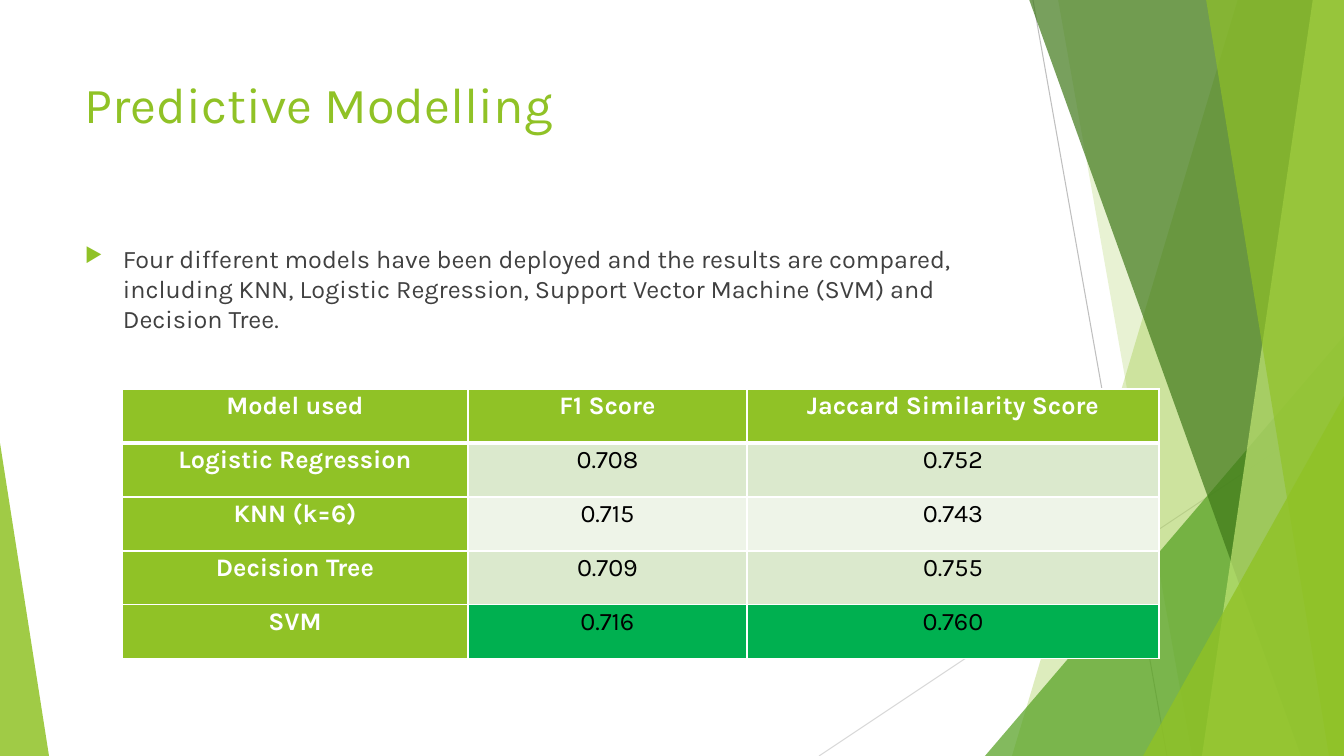
from lxml.etree import SubElement
from pptx import Presentation
from pptx.dml.color import RGBColor
from pptx.enum.shapes import MSO_CONNECTOR, MSO_SHAPE
from pptx.enum.text import MSO_ANCHOR, PP_ALIGN
from pptx.oxml import parse_xml
from pptx.oxml.ns import nsdecls, qn
from pptx.util import Pt

SCALE = 914400 / 100.8
WIDTH, HEIGHT = 1344, 756
FONT = "Karla"
COLORS = {
    "lime": "90C226", "green": "54A021", "forest": "3F7819", "pale": "C0E474",
    "white": "FFFFFF", "black": "000000", "text": "404040", "best": "00B050",
    "odd": "DBE9CD", "even": "EEF4E8", "gray": "BFBFBF", "silver": "D9D9D9",
}
TITLE = "Predictive Modelling"
BODY = ("Four different models have been deployed and the results are compared, "
        "including KNN, Logistic Regression, Support Vector Machine (SVM) and Decision Tree.")
SCORES = [
    ("Model used", "F1 Score", "Jaccard Similarity Score"),
    ("Logistic Regression", "0.708", "0.752"),
    ("KNN (k=6)", "0.715", "0.743"),
    ("Decision Tree", "0.709", "0.755"),
    ("SVM", "0.716", "0.760"),
]
BEST_MODEL = "SVM"
COLUMN_WIDTHS = (346, 279, 412)
ROW_HEIGHT = 54
TABLE_LEFT, TABLE_TOP = 122, 389
TITLE_BOX = (75, 68, 948, 145)
BODY_BOX = (75, 238, 948, 427)
BULLET_INDENT = 38
RAYS = [("gray", (1033, 0, 1167, HEIGHT)), ("silver", (WIDTH, 406, 819, HEIGHT))]
FACETS = [
    ("band", "lime", 30, (1238, 1012)),
    ("band", "lime", 20, (1058, 1192)),
    ("triangle", "green", 72, (985, 336, WIDTH, 1)),
    ("band", "forest", 70, (1029, 1301)),
    ("band", "pale", 70, (1313, 1202)),
    ("band", "lime", 65, (1206, 1329)),
    ("triangle", "lime", 80, (1143, 396, WIDTH, 1)),
    ("triangle", "lime", 85, (0, 443, 49, 0)),
]


def px(*values):
    return [round(value * SCALE) for value in values]


def rgb(name):
    return RGBColor.from_string(COLORS[name])


def assign(target, values):
    for name, value in values.items():
        setattr(target, name, value)


def add_run(paragraph, text, size, color, bold=False):
    run = paragraph.add_run()
    run.text = text
    assign(run.font, {"name": FONT, "size": Pt(size), "bold": bold})
    run.font.color.rgb = rgb(color)


def add_ray(slide, color, ends):
    line = slide.shapes.add_connector(MSO_CONNECTOR.STRAIGHT, *px(*ends))
    line.line.color.rgb = rgb(color)
    line.line.width = Pt(0.75)
    SubElement(line._element.spPr, qn("a:effectLst"))


def add_facet(slide, kind, color, opacity, geometry):
    if kind == "band":
        top, bottom = geometry
        builder = slide.shapes.build_freeform(top, -1, scale=SCALE)
        builder.add_line_segments([(WIDTH, -1), (WIDTH, HEIGHT), (bottom, HEIGHT)])
        shape = builder.convert_to_shape()
    else:
        left, top, right, apex = geometry
        box = px(left, top, right - left, HEIGHT - top)
        shape = slide.shapes.add_shape(MSO_SHAPE.ISOSCELES_TRIANGLE, *box)
        shape.adjustments[0] = apex
    shape.shadow.inherit = False
    shape.line.fill.background()
    shape.fill.solid()
    shape.fill.fore_color.rgb = rgb(color)
    tint = shape._element.spPr.find(qn("a:solidFill"))[0]
    SubElement(tint, qn("a:alpha"), val=str(opacity * 1000))


def add_text(slide, box, text, size, color):
    frame = slide.shapes.add_textbox(*px(*box)).text_frame
    assign(frame, {"word_wrap": True, "vertical_anchor": MSO_ANCHOR.TOP})
    add_run(frame.paragraphs[0], text, size, color)
    return frame.paragraphs[0]


def add_bullet(paragraph):
    paragraph.space_before = Pt(10)
    properties = paragraph._p.get_or_add_pPr()
    indent = px(BULLET_INDENT)[0]
    properties.set("marL", str(indent))
    properties.set("indent", str(-indent))
    color = SubElement(properties, qn("a:buClr"))
    SubElement(color, qn("a:srgbClr"), val=COLORS["lime"])
    SubElement(properties, qn("a:buSzPct"), val="80000")
    SubElement(properties, qn("a:buChar"), char="▶")


def set_borders(cell, row):
    thick = {0: "lnB", 1: "lnT"}.get(row)
    for index, side in enumerate(("lnL", "lnR", "lnT", "lnB")):
        width = Pt(3 if side == thick else 1)
        border = parse_xml(
            f'<a:{side} {nsdecls("a")} w="{width}"><a:solidFill>'
            f'<a:srgbClr val="{COLORS["white"]}"/></a:solidFill></a:{side}>')
        cell._tc.get_or_add_tcPr().insert(index, border)


def cell_fill(row, column):
    if row == 0 or column == 0:
        return "lime"
    if SCORES[row][0] == BEST_MODEL:
        return "best"
    return "odd" if row % 2 else "even"


def add_scores(slide):
    size = (sum(COLUMN_WIDTHS), ROW_HEIGHT * len(SCORES))
    table = slide.shapes.add_table(
        len(SCORES), len(COLUMN_WIDTHS), *px(TABLE_LEFT, TABLE_TOP, *size)).table
    for column, width in zip(table.columns, px(*COLUMN_WIDTHS)):
        column.width = width
    side = px(7)[0]
    for row, values in enumerate(SCORES):
        table.rows[row].height = px(ROW_HEIGHT)[0]
        for column, value in enumerate(values):
            cell = table.cell(row, column)
            assign(cell, {"margin_left": side, "margin_right": side, "margin_top": 0,
                          "margin_bottom": 0, "vertical_anchor": MSO_ANCHOR.TOP})
            cell.fill.solid()
            cell.fill.fore_color.rgb = rgb(cell_fill(row, column))
            set_borders(cell, row)
            paragraph = cell.text_frame.paragraphs[0]
            assign(paragraph, {"alignment": PP_ALIGN.CENTER, "line_spacing": 1.07})
            heading = row == 0 or column == 0
            add_run(paragraph, value, 18, "white" if heading else "black", heading)


def main():
    """Build the predictive modelling slide and save it."""
    presentation = Presentation()
    presentation.slide_width, presentation.slide_height = px(WIDTH, HEIGHT)
    slide = presentation.slides.add_slide(presentation.slide_layouts[6])
    for ray in RAYS:
        add_ray(slide, *ray)
    for facet in FACETS:
        add_facet(slide, *facet)
    add_text(slide, TITLE_BOX, TITLE, 36, "lime")
    add_bullet(add_text(slide, BODY_BOX, BODY, 18, "text"))
    add_scores(slide)
    presentation.save("out.pptx")


main()
